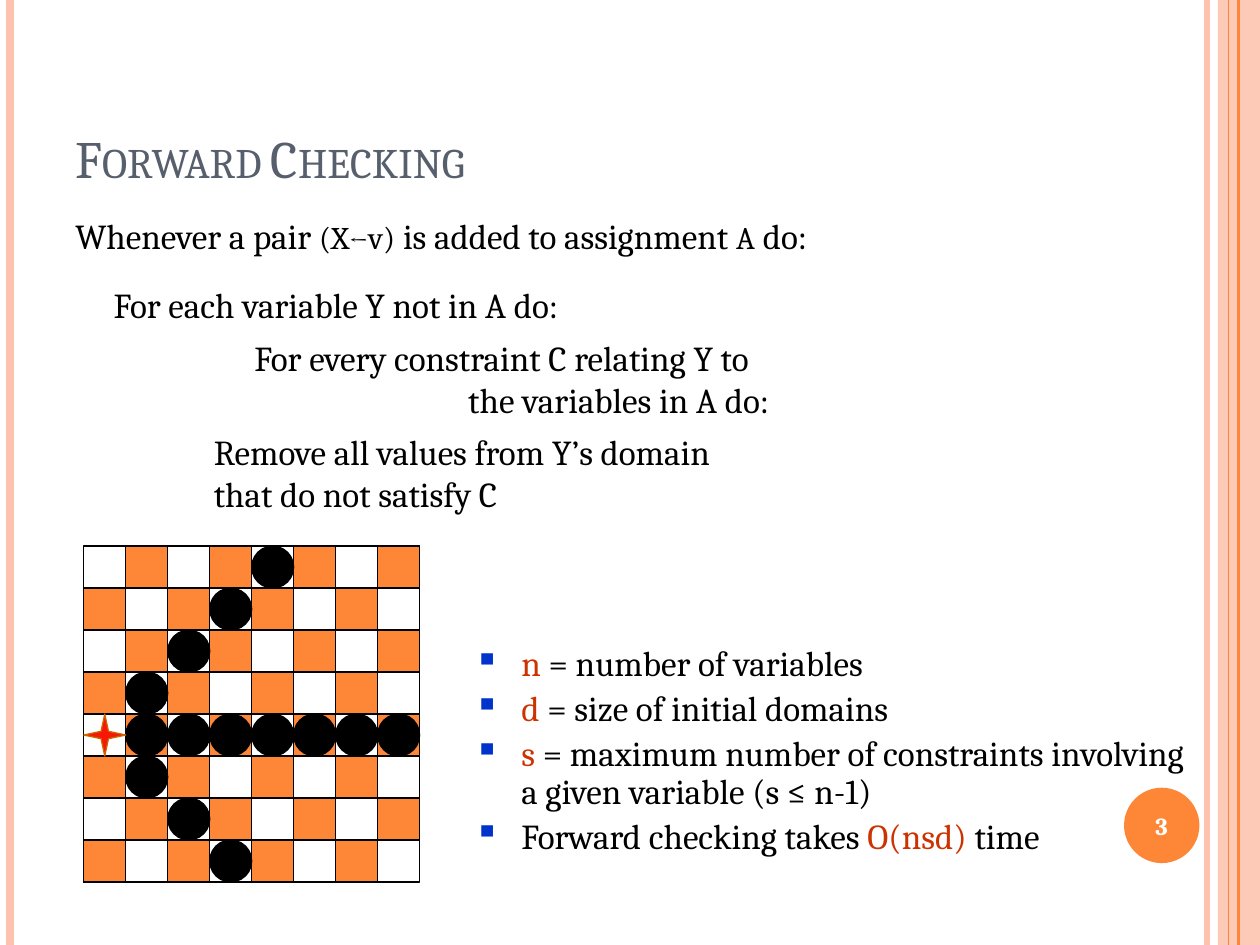
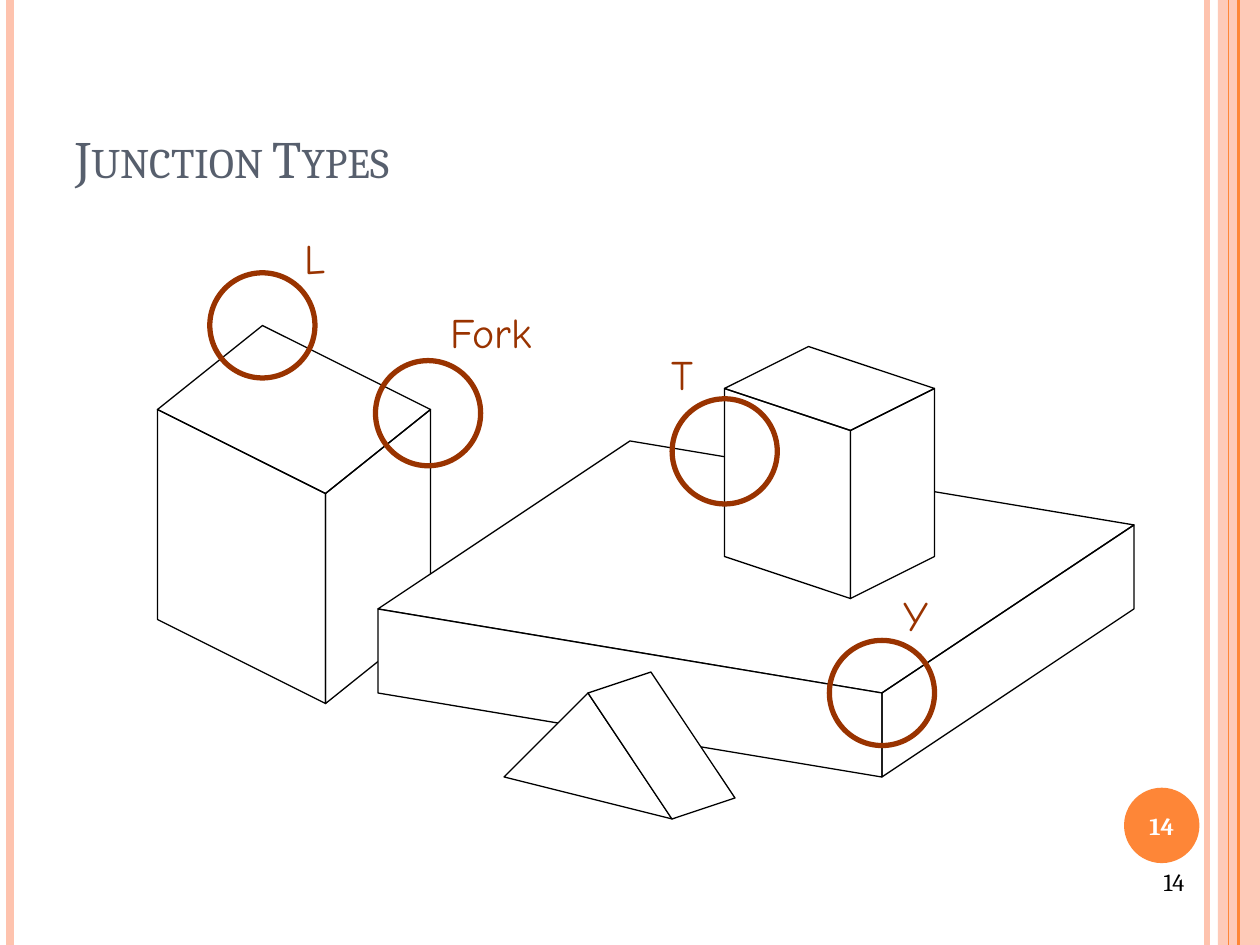
from lxml import etree
from pptx import Presentation
from pptx.dml.color import RGBColor
from pptx.enum import shapes, text
from pptx.oxml import ns
from pptx.util import Cm, Pt

ORANGE = RGBColor(0xFE, 0x86, 0x37)
PEACH = RGBColor(0xFE, 0xC3, 0xAE)
SLATE = RGBColor(0x57, 0x5F, 0x6D)
BLACK = RGBColor(0, 0, 0)
WHITE = RGBColor(0xFF, 0xFF, 0xFF)
QUEEN_RED = RGBColor(0xF8, 0x17, 0x06)
QUEEN_EDGE = RGBColor(0xCC, 0x66, 0x00)
TERM_RED = RGBColor(0xCC, 0x33, 0x00)
RUST = RGBColor(0x99, 0x33, 0x00)
BULLET_BLUE = "0033CC"

SHAPE = shapes.MSO_SHAPE
ALIGN = text.PP_ALIGN
ANCHOR = text.MSO_ANCHOR


def style_shape(shape, fill=None, line=None, width=0.75):
    shape.shadow.inherit = False
    if fill is None:
        shape.fill.background()
    else:
        shape.fill.solid()
        shape.fill.fore_color.rgb = fill
    if line is None:
        shape.line.fill.background()
    else:
        shape.line.color.rgb = line
        shape.line.width = Pt(width)


def add_text(slide, box, rows, font="Cambria", wrap=True):
    """Each row is a paragraph: a list of (words, size, colour)."""
    frame = slide.shapes.add_textbox(*[Cm(length) for length in box]).text_frame
    frame.word_wrap = wrap
    for index, row in enumerate(rows):
        paragraph = frame.add_paragraph() if index else frame.paragraphs[0]
        for words, size, color in row:
            done = len(paragraph.runs)
            if done:
                paragraph.add_run().text = words
            else:
                paragraph.text = words
            for run in paragraph.runs[done:]:
                run.font.name = font
                run.font.size = Pt(size)
                run.font.color.rgb = color
    return frame


presentation = Presentation()
presentation.slide_width = Cm(25.4)
presentation.slide_height = Cm(19.05)

# Shared bands, title and page badge
slides = []
for title, number in [("Forward Checking", "3"), ("Junction Types", "14")]:
    slide = presentation.slides.add_slide(presentation.slide_layouts[6])
    slides.append(slide)
    band = slide.shapes.add_shape(SHAPE.RECTANGLE, Cm(24.55), 0, Cm(0.85), Cm(19.05))
    style_shape(band, PEACH)
    color_node = band.fill._xPr.find(".//" + ns.qn("a:srgbClr"))
    etree.SubElement(color_node, ns.qn("a:alpha"), val="87000")
    for x, color, width in [(24.33, PEACH, 3), (0.21, PEACH, 4.5),
                            (24.97, ORANGE, 1.5), (24.77, ORANGE, 0.75)]:
        stripe = slide.shapes.add_connector(
            shapes.MSO_CONNECTOR.STRAIGHT, Cm(x), 0, Cm(x), Cm(19.05))
        stripe.line.color.rgb = color
        stripe.line.width = Pt(width)
        etree.SubElement(stripe._element.spPr, ns.qn("a:effectLst"))
    badge = slide.shapes.add_shape(SHAPE.OVAL, Cm(22.66), Cm(15.88), Cm(1.52), Cm(1.52))
    style_shape(badge, ORANGE)

    frame = add_text(slide, (1.27, 0.76, 20.75, 3.18), [[(title, 30, SLATE)]])
    frame.vertical_anchor = ANCHOR.BOTTOM
    frame.paragraphs[0].runs[0].font._element.set("cap", "small")

    frame = add_text(slide, (22.57, 15.92, 1.7, 1.45), [[(number, 14, WHITE)]])
    frame.vertical_anchor = ANCHOR.MIDDLE
    frame.paragraphs[0].alignment = ALIGN.CENTER
    frame.paragraphs[0].runs[0].font.bold = True

checking, junctions = slides

# Forward checking: the algorithm, with margin, first-line indent, space before
steps = [
    ([("Whenever a pair ", 20, BLACK), ("(X", 18, BLACK), ("←", 14, BLACK),
      ("v)", 18, BLACK), (" is added to assignment ", 20, BLACK),
      ("A", 18, BLACK), (" do:", 20, BLACK)], 0, 0, 0),
    ([("For each variable Y not in A do:", 20, BLACK)], 0.77, 0, 15.5),
    ([("For every constraint C relating Y to\vthe variables in A do:", 20, BLACK)],
     7.92, -4.31, 6),
    ([("Remove all values from Y’s domain\vthat do not satisfy C", 20, BLACK)],
     2.79, 0, 6),
]
frame = add_text(checking, (1.27, 4.2, 24.13, 10), [step[0] for step in steps])
for paragraph, (_, margin, indent, space) in zip(frame.paragraphs, steps):
    properties = paragraph._p.get_or_add_pPr()
    properties.set("marL", str(Cm(margin)))
    properties.set("indent", str(Cm(indent)))
    if space:
        paragraph.space_before = Pt(space)

# Chessboard: a queen in the first column and the squares it attacks
SIZE = 8
QUEEN_ROW = 4
BOARD_LEFT, BOARD_TOP, BOARD_WIDTH = 1.69, 11.01, 6.77
square = BOARD_WIDTH / SIZE
board = checking.shapes.add_shape(
    SHAPE.RECTANGLE, Cm(BOARD_LEFT), Cm(BOARD_TOP), Cm(BOARD_WIDTH), Cm(BOARD_WIDTH))
style_shape(board, None, BLACK)
cells = [(row, column) for row in range(SIZE) for column in range(SIZE)]
pieces = [(SHAPE.RECTANGLE, cell, ORANGE, BLACK) for cell in cells if sum(cell) % 2]
pieces += [(SHAPE.OVAL, (row, column), BLACK, BLACK) for row, column in cells
           if column and abs(row - QUEEN_ROW) in (0, column)]
pieces.append((SHAPE.STAR_4_POINT, (QUEEN_ROW, 0), QUEEN_RED, QUEEN_EDGE))
for kind, (row, column), fill, line in pieces:
    piece = checking.shapes.add_shape(
        kind, Cm(BOARD_LEFT + column * square), Cm(BOARD_TOP + row * square),
        Cm(square), Cm(square))
    style_shape(piece, fill, line)
    if kind == SHAPE.STAR_4_POINT:
        piece.adjustments[0] = 0.125

# Cost of forward checking
costs = [
    [("n", 20, TERM_RED), (" = number of variables", 20, BLACK)],
    [("d", 20, TERM_RED), (" = size of initial domains", 20, BLACK)],
    [("s", 20, TERM_RED),
     (" = maximum number of constraints involving a given variable (s ≤ n-1)", 20, BLACK)],
    [("Forward checking takes ", 20, BLACK), ("O(nsd)", 20, TERM_RED),
     (" time", 20, BLACK)],
]
frame = add_text(checking, (9.31, 12.91, 15.04, 5.29), costs)
for index, paragraph in enumerate(frame.paragraphs):
    properties = paragraph._p.get_or_add_pPr()
    properties.set("marL", str(Cm(0.95)))
    properties.set("indent", str(Cm(-0.95)))
    bullet_color = etree.SubElement(properties, ns.qn("a:buClr"))
    etree.SubElement(bullet_color, ns.qn("a:srgbClr"), val=BULLET_BLUE)
    etree.SubElement(properties, ns.qn("a:buChar"), char="▪")
    paragraph.line_spacing = 0.9
    if index:
        paragraph.space_before = Pt(4)

# Junction types: faces of the solids, on a grid of 12 units to 2.54 cm
GRID = Cm(2.54) / 12
faces = [
    # House block
    (None, [(15, 39), (31, 47), (41, 39), (25, 31)]),
    (None, [(15, 59), (15, 39), (31, 47), (31, 67)]),
    (None, [(41, 59), (31, 67), (31, 47), (41, 39)]),
    # Slab
    (WHITE, [(36, 58), (84, 66), (108, 50), (60, 42)]),
    (WHITE, [(36, 66), (36, 58), (84, 66), (84, 74)]),
    (None, [(108, 58), (108, 50), (84, 66), (84, 74)]),
    # Wedge
    (WHITE, [(48, 74), (64, 78), (56, 66)]),
    (WHITE, [(56, 66), (62, 64), (70, 76), (64, 78)]),
    # Upright box
    (WHITE, [(69, 53), (81, 57), (81, 41), (69, 37)]),
    (WHITE, [(81, 41), (89, 37), (89, 53), (81, 57)]),
    (None, [(69, 37), (77, 33), (89, 37), (81, 41)]),
]
for fill, corners in faces:
    builder = junctions.shapes.build_freeform(*corners[0], scale=GRID)
    builder.add_line_segments(corners[1:], close=True)
    style_shape(builder.convert_to_shape(), fill, BLACK)

# Rings and their labels: ring corner, then label corner and width
for name, ring_x, ring_y, label_x, label_y, label_width in [
        ("Fork", 7.57, 7.27, 8.84, 6.05, 2.34),
        ("L", 4.23, 5.5, 5.89, 4.57, 0.99),
        ("T", 13.55, 8.04, 13.28, 6.91, 1.09),
        ("Y", 16.72, 12.91, 17.96, 11.76, 1.04)]:
    ring = junctions.shapes.add_shape(
        SHAPE.OVAL, Cm(ring_x), Cm(ring_y), Cm(2.12), Cm(2.12))
    style_shape(ring, None, RUST, 3)
    add_text(junctions, (label_x, label_y, label_width, 1.27),
             [[(name, 24, RUST)]], "Comic Neue", wrap=False)

# Second page number
frame = add_text(junctions, (18.2, 17.35, 5.93, 1.32), [[("14", 14, BLACK)]])
frame.paragraphs[0].alignment = ALIGN.RIGHT

presentation.save("out.pptx")
